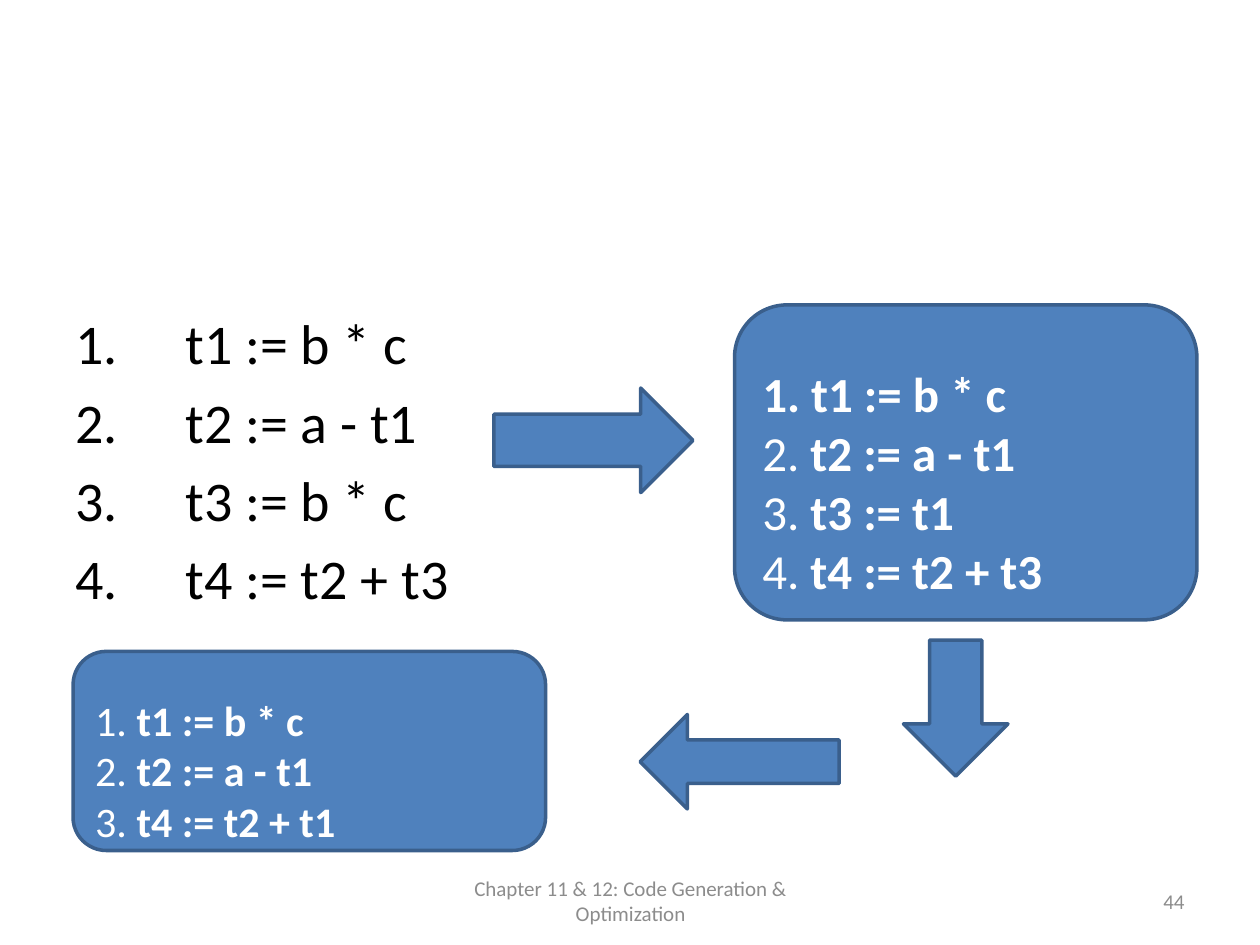
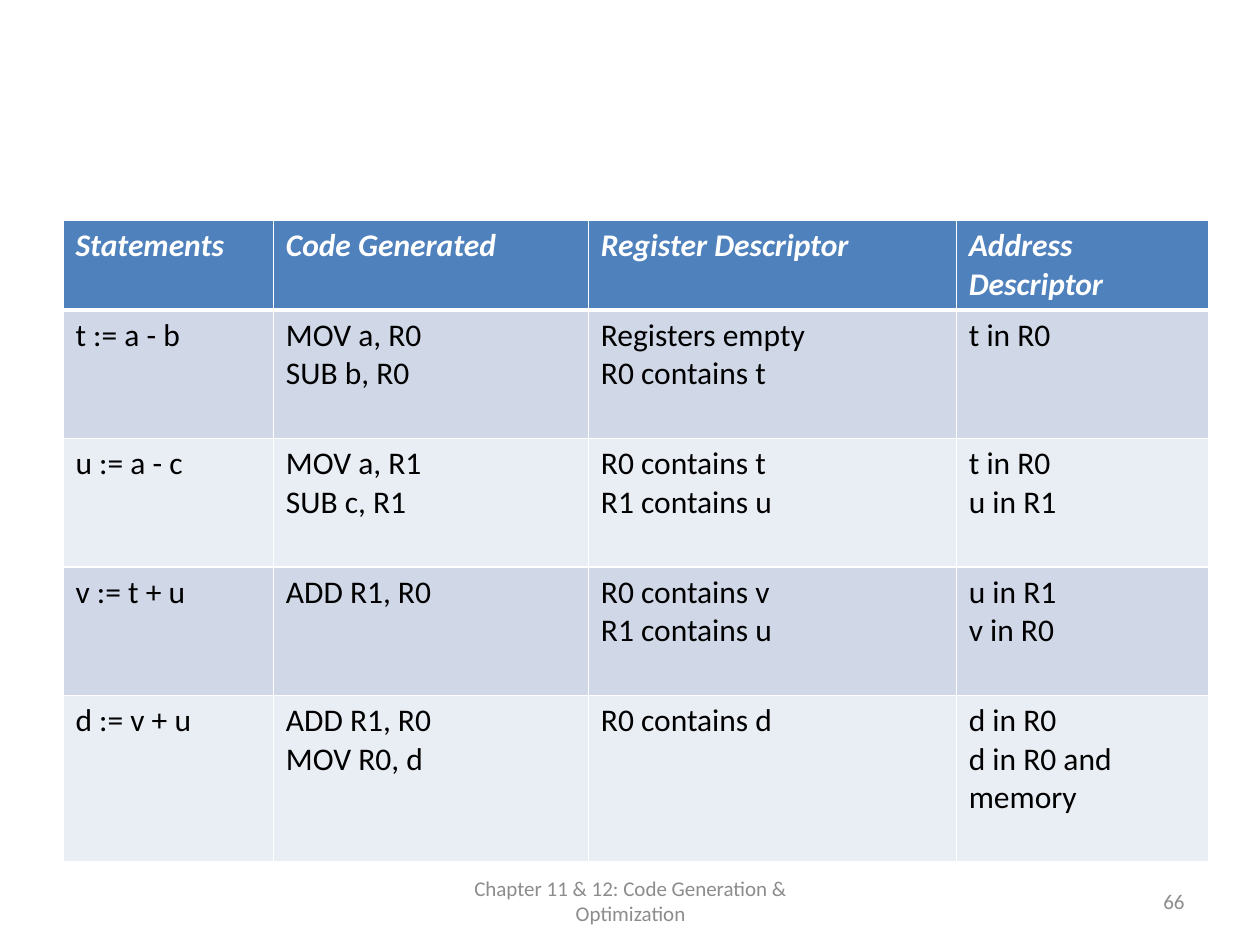
from dataclasses import dataclass

from lxml import etree
from pptx import Presentation
from pptx.dml.color import RGBColor as RGB
from pptx.enum.shapes import MSO_SHAPE as Preset
from pptx.enum.text import MSO_ANCHOR as Anchor, PP_ALIGN as Align
from pptx.oxml.ns import qn
from pptx.util import Inches, Pt


@dataclass(frozen=True)
class Theme:
    font: str = "Calibri"
    blue: RGB = RGB(0x4F, 0x81, 0xBD)
    outline: RGB = RGB(0x3A, 0x5F, 0x8C)
    band_dark: RGB = RGB(0xD0, 0xD8, 0xE8)
    band_light: RGB = RGB(0xE9, 0xED, 0xF4)
    black: RGB = RGB(0, 0, 0)
    white: RGB = RGB(0xFF, 0xFF, 0xFF)
    gray: RGB = RGB(0x8C, 0x8C, 0x8C)
    code_size: Pt = Pt(32)
    table_size: Pt = Pt(18)
    footer_size: Pt = Pt(12)


theme = Theme()


def set_font(paragraph, size, color, bold=None, italic=None):
    font = paragraph.font
    font.name, font.size, font.bold, font.italic = theme.font, size, bold, italic
    font.color.rgb = color


def add_blue_shape(slide, preset, *box):
    shape = slide.shapes.add_shape(preset, *map(Inches, box))
    shape.shadow.inherit = False
    shape.fill.solid()
    shape.fill.fore_color.rgb = theme.blue
    shape.line.color.rgb = theme.outline
    shape.line.width = Pt(2)
    return shape


presentation = Presentation()
presentation.slide_width, presentation.slide_height = Inches(10), Inches(7.5)
blank_layout = presentation.slide_layouts[6]

# Slides with their shared footer and page number
slides = []
for page_number in ("44", "66"):
    slide = presentation.slides.add_slide(blank_layout)
    slides.append(slide)
    for text, left, width, alignment in (
        (page_number, 7.17, 2.33, Align.RIGHT),
        ("Chapter 11 & 12: Code Generation & Optimization", 3.42, 3.17, Align.CENTER),
    ):
        footer = slide.shapes.add_textbox(Inches(left), Inches(6.95), Inches(width), Inches(0.4))
        frame = footer.text_frame
        frame.word_wrap = True
        frame.vertical_anchor = Anchor.MIDDLE
        frame.text = text
        frame.paragraphs[0].alignment = alignment
        set_font(frame.paragraphs[0], theme.footer_size, theme.gray)
optimization_slide, descriptor_slide = slides

# Unoptimized code
code_box = optimization_slide.shapes.add_textbox(Inches(0.5), Inches(1.75), Inches(9), Inches(4.95))
frame = code_box.text_frame
frame.word_wrap = True
frame.margin_top = Inches(0.7)
statements = ("t1 := b * c", "t2 := a - t1", "t3 := b * c", "t4 := t2 + t3")
frame.text = "\n".join(f"{number}. \t{code}" for number, code in enumerate(statements, 1))
for paragraph in frame.paragraphs:
    paragraph.space_after = Pt(6.4)
    set_font(paragraph, theme.code_size, theme.black)
    properties = paragraph._p.get_or_add_pPr()
    properties.set("marL", str(Inches(0.375)))
    properties.set("indent", str(-Inches(0.375)))

# Optimized code: box, size, whether the first number is bold, statements
for box, size, first_bold, statements in (
    ((5.83, 2.42, 3.67, 2.5), Pt(28), True,
     ("t1 := b * c", "t2 := a - t1", "t3 := t1", "t4 := t2 + t3")),
    ((0.58, 5.17, 3.75, 1.58), Pt(24), False,
     ("t1 := b * c", "t2 := a - t1", "t4 := t2 + t1")),
):
    frame = add_blue_shape(optimization_slide, Preset.ROUNDED_RECTANGLE, *box).text_frame
    frame.word_wrap = True
    frame.vertical_anchor = Anchor.MIDDLE
    frame.margin_top, frame.margin_bottom = Inches(0.35), Inches(0.05)
    for number, code in enumerate(statements, 1):
        paragraph = frame.paragraphs[0] if number == 1 else frame.add_paragraph()
        paragraph.alignment = Align.LEFT
        set_font(paragraph, size, theme.white)
        for text, bold in ((f"{number}. ", first_bold and number == 1), (code, True)):
            run = paragraph.add_run()
            run.text = text
            run.font.bold = bold

# Arrows between the steps
add_blue_shape(optimization_slide, Preset.RIGHT_ARROW, 3.92, 3.08, 1.58, 0.83)
add_blue_shape(optimization_slide, Preset.DOWN_ARROW, 7.17, 5.08, 0.83, 1.08)
back_arrow = add_blue_shape(optimization_slide, Preset.RIGHT_ARROW, 5.08, 5.67, 1.58, 0.75)
back_arrow.rotation = 180
back_arrow.adjustments[0] = 0.46

# Descriptor table
table_rows = (
    ("Statements", "Code Generated", "Register Descriptor", "Address Descriptor"),
    ("t := a - b", "MOV a, R0\nSUB b, R0", "Registers empty\nR0 contains t", "t in R0"),
    ("u := a - c", "MOV a, R1\nSUB c, R1", "R0 contains t\nR1 contains u", "t in R0\nu in R1"),
    ("v := t + u", "ADD R1, R0", "R0 contains v\nR1 contains u", "u in R1\nv in R0"),
    ("d := v + u", "ADD R1, R0\nMOV R0, d", "R0 contains d", "d in R0\nd in R0 and memory"),
)
column_widths = (1.67, 2.5, 2.92, 2)
row_heights = (0.71, 1.02, 1.02, 1.02, 1.32)
table = descriptor_slide.shapes.add_table(
    len(table_rows), len(column_widths), Inches(0.5), Inches(1.75),
    Inches(sum(column_widths)), Inches(sum(row_heights)),
).table
for column, width in zip(table.columns, column_widths):
    column.width = Inches(width)
for row, height in zip(table.rows, row_heights):
    row.height = Inches(height)

for row_index, texts in enumerate(table_rows):
    is_header = row_index == 0
    band = theme.band_dark if row_index % 2 else theme.band_light
    for column_index, text in enumerate(texts):
        cell = table.cell(row_index, column_index)
        cell.text = text
        for paragraph in cell.text_frame.paragraphs:
            set_font(paragraph, theme.table_size, theme.white if is_header else theme.black,
                     bold=is_header, italic=is_header)
        # White borders, heavier below the header; they precede the fill
        cell_properties = cell._tc.get_or_add_tcPr()
        for side in ("lnL", "lnR", "lnT", "lnB"):
            heavy = (row_index, side) in ((0, "lnB"), (1, "lnT"))
            border = etree.SubElement(cell_properties, qn(f"a:{side}"), w=str(Pt(3 if heavy else 1)))
            border_fill = etree.SubElement(border, qn("a:solidFill"))
            etree.SubElement(border_fill, qn("a:srgbClr"), val=str(theme.white))
        cell.fill.solid()
        cell.fill.fore_color.rgb = theme.blue if is_header else band

presentation.save("out.pptx")
